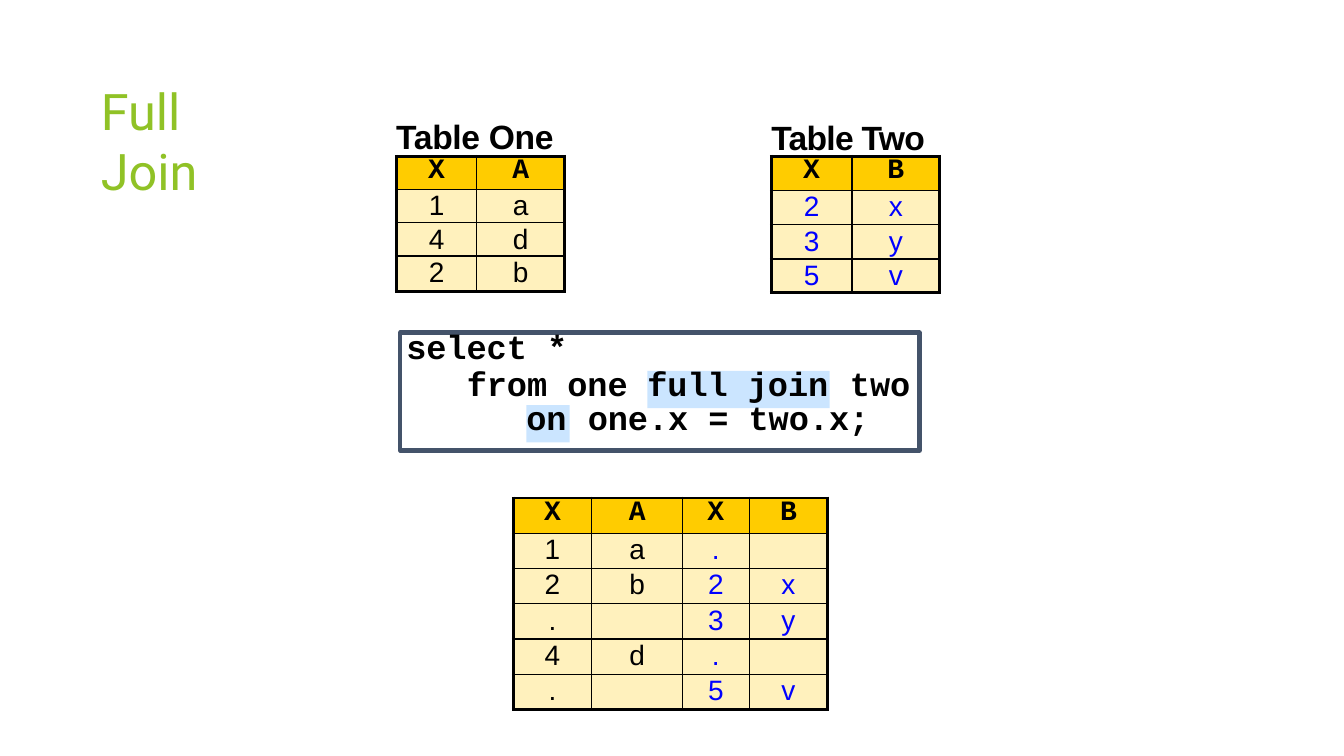
"""Build the full join slide with its tables and query."""
from dataclasses import dataclass

from lxml.etree import SubElement
from pptx import Presentation
from pptx.dml.color import RGBColor
from pptx.enum.shapes import MSO_SHAPE
from pptx.enum.text import MSO_ANCHOR, MSO_AUTO_SIZE, PP_ALIGN
from pptx.oxml import parse_xml
from pptx.oxml.ns import nsdecls, qn
from pptx.slide import Slide
from pptx.table import _Cell
from pptx.text.text import TextFrame, _Paragraph
from pptx.util import Emu, Pt

SCALE = 9144
Box = tuple[int, int, int, int]


@dataclass(frozen=True)
class Theme:
    green: str = "90C226"
    slate: str = "44536A"
    black: str = "000000"
    blue: str = "0000FF"
    gold: str = "FFCC00"
    cream: str = "FFF1BD"
    glow: str = "99CCFF"
    head: str = "Roboto"
    sans: str = "Arial"
    mono: str = "Courier New"
    title: int = 36
    text: int = 24
    cell: int = 20
    thin: float = 1
    thick: float = 2.25
    frame: float = 3


THEME = Theme()


@dataclass(frozen=True)
class Label:
    text: str
    box: Box
    font: str = THEME.mono
    track: int = -5
    pitch: float | None = None
    glow: bool = False
    inset: int = 1


@dataclass(frozen=True)
class Grid:
    left: int
    top: int
    cols: list[int]
    rows: list[int]
    cells: list[str]
    blue: int


LABELS = [
    Label("full join", (642, 368, 181, 37), pitch=23.2, glow=True, inset=0),
    Label("select *\nfrom one \ttwo", (403, 325, 500, 77), pitch=26.6),
    Label("on", (522, 402, 43, 37), pitch=23.2, glow=True, inset=0),
    Label("one.x = two.x;", (583, 393, 290, 43)),
    Label("Table One", (393, 114, 165, 43), THEME.sans, -25),
    Label("Table Two", (765, 115, 165, 43), THEME.sans, -50),
]

GRIDS = [
    Grid(393, 155, [80, 87], [33, 33, 33, 35], ["XA", "1a", "4d", "2b"], 2),
    Grid(765, 155, [80, 87], [34, 34, 34, 33], ["XB", "2x", "3y", "5v"], 0),
    Grid(509, 494, [78, 90, 66, 78], [35] * 6,
         ["XAXB", "1a. ", "2b2x", ". 3y", "4d. ", ". 5v"], 2),
]


def px(size: int) -> Emu:
    return Emu(size * SCALE)


def style(para: _Paragraph, font: str, size: int, color: str, bold: bool, track: int = 0) -> None:
    for run in para.runs:
        run.font.name = font
        run.font.size = Pt(size)
        run.font.bold = bold
        run.font.color.rgb = RGBColor.from_string(color)
        run.font._element.set("spc", str(track))


def fit(frame: TextFrame, top: int) -> None:
    frame.margin_left = frame.margin_right = frame.margin_bottom = 0
    frame.margin_top = px(top)
    frame.vertical_anchor = MSO_ANCHOR.TOP
    frame.auto_size = MSO_AUTO_SIZE.NONE
    frame.word_wrap = True


def add_title(slide: Slide) -> None:
    title = slide.shapes.title
    title.left, title.top, title.width, title.height = map(px, (100, 78, 150, 58))
    frame = title.text_frame
    frame.text = "Full Join"
    fit(frame, 1)
    para = frame.paragraphs[0]
    para.alignment = PP_ALIGN.LEFT
    para.space_before = Pt(1)
    style(para, THEME.head, THEME.title, THEME.green, False)


def add_frame(slide: Slide) -> None:
    rect = slide.shapes.add_shape(MSO_SHAPE.RECTANGLE, *map(px, (397, 330, 515, 117)))
    rect.shadow.inherit = False
    rect.fill.background()
    rect.line.color.rgb = RGBColor.from_string(THEME.slate)
    rect.line.width = Pt(THEME.frame)


def add_label(slide: Slide, label: Label) -> None:
    area = map(px, label.box)
    if label.glow:
        shape = slide.shapes.add_shape(MSO_SHAPE.RECTANGLE, *area)
        shape.shadow.inherit = False
        shape.line.fill.background()
        shape.fill.solid()
        shape.fill.fore_color.rgb = RGBColor.from_string(THEME.glow)
        tint = shape._element.spPr.find(qn("a:solidFill")).find(qn("a:srgbClr"))
        SubElement(tint, qn("a:alpha"), val="50000")
    else:
        shape = slide.shapes.add_textbox(*area)
    frame = shape.text_frame
    frame.text = label.text
    fit(frame, label.inset)
    for row, para in enumerate(frame.paragraphs):
        para.alignment = PP_ALIGN.LEFT
        para.space_before = Pt(0 if row else label.inset)
        if label.pitch:
            para.line_spacing = Pt(label.pitch)
        if row:
            props = para._p.get_or_add_pPr()
            props.set("marL", str(px(60)))
            tabs = SubElement(props, qn("a:tabLst"))
            SubElement(tabs, qn("a:tab"), pos=str(px(439)), algn="l")
        style(para, label.font, THEME.text, THEME.black, True, label.track)


def edge(cell: _Cell, sides: dict[str, bool]) -> None:
    props = cell._tc.get_or_add_tcPr()
    for spot, (side, outer) in enumerate(sides.items()):
        width = Pt(THEME.thick if outer else THEME.thin)
        props.insert(spot, parse_xml(
            f'<a:ln{side} {nsdecls("a")} w="{width}"><a:solidFill>'
            f'<a:srgbClr val="{THEME.black}"/></a:solidFill></a:ln{side}>'))


def add_grid(slide: Slide, grid: Grid) -> None:
    area = (grid.left, grid.top, sum(grid.cols), sum(grid.rows))
    table = slide.shapes.add_table(len(grid.rows), len(grid.cols), *map(px, area)).table
    for col, width in enumerate(grid.cols):
        table.columns[col].width = px(width)
    for row, height in enumerate(grid.rows):
        table.rows[row].height = px(height)
        for col, text in enumerate(grid.cells[row]):
            head = row == 0
            cell = table.cell(row, col)
            cell.margin_left = cell.margin_right = cell.margin_top = cell.margin_bottom = 0
            cell.fill.solid()
            cell.fill.fore_color.rgb = RGBColor.from_string(THEME.gold if head else THEME.cream)
            edge(cell, {"L": col == 0, "R": col == len(grid.cols) - 1,
                        "T": head, "B": row == len(grid.rows) - 1})
            cell.text_frame.text = text.strip()
            para = cell.text_frame.paragraphs[0]
            para.alignment = PP_ALIGN.CENTER
            para.line_spacing = Pt(22 if head else 23)
            color = THEME.blue if col >= grid.blue and not head else THEME.black
            style(para, THEME.mono if head else THEME.sans, THEME.cell, color, head)


def main() -> None:
    deck = Presentation()
    deck.slide_width, deck.slide_height = px(1333), px(750)
    slide = deck.slides.add_slide(deck.slide_layouts[5])
    add_title(slide)
    add_frame(slide)
    for label in LABELS:
        add_label(slide, label)
    for grid in GRIDS:
        add_grid(slide, grid)
    deck.save("out.pptx")


if __name__ == "__main__":
    main()
